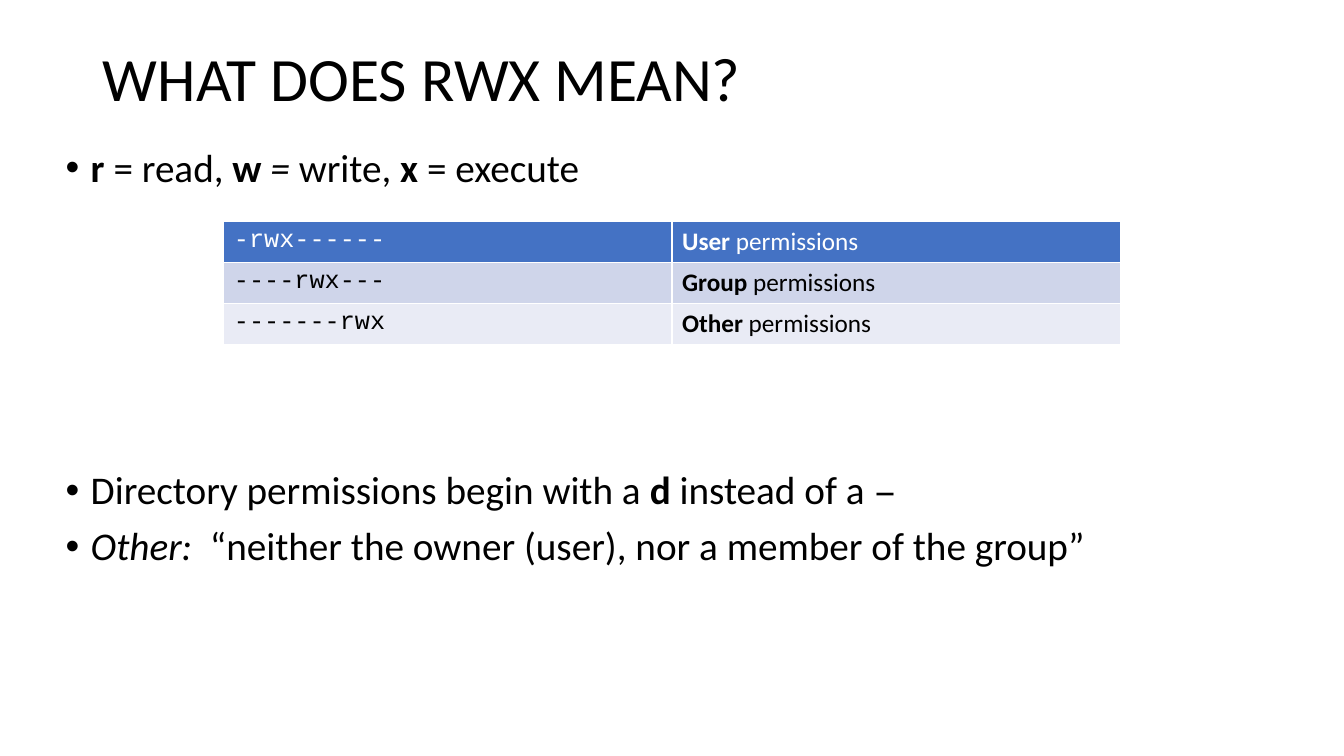
from lxml.etree import SubElement
from pptx import Presentation
from pptx.dml.color import RGBColor
from pptx.enum.text import MSO_ANCHOR, MSO_AUTO_SIZE, PP_ALIGN
from pptx.oxml.ns import qn
from pptx.util import Inches, Pt

COLORS = {"text": "000000", "white": "FFFFFF", "header": "4472C4",
          "band_dark": "CFD5EA", "band_light": "E9EBF5"}
SANS, MONO = "Calibri", "Courier New"

RWX_LIST = [
    [("r ", "b"), ("= read, ", ""), ("w ", "b"), ("= ", "i"),
     ("write, ", ""), ("x", "b"), (" = execute", "")],
]
NOTES_LIST = [
    [("Directory permissions begin with a ", ""), ("d", "b"),
     (" instead of a ", ""), ("–", "m")],
    [("Other:", "i"),
     ("  “neither the owner (user), nor a member of the group”", "")],
]
PERMISSIONS = [("-rwx------", "User", "header", "white"),
               ("----rwx---", "Group", "band_dark", "text"),
               ("-------rwx", "Other", "band_light", "text")]


def add_span(para, text, style, size, color="text"):
    span = para.add_run()
    span.text = text
    font = span.font
    font.name = MONO if "m" in style else SANS
    font.size = Pt(size)
    font.bold = "b" in style
    font.italic = "i" in style
    font.color.rgb = RGBColor.from_string(COLORS[color])


def place(shape, box):
    shape.left, shape.top, shape.width, shape.height = map(Inches, box)
    shape.text_frame.word_wrap = True
    shape.text_frame.auto_size = MSO_AUTO_SIZE.NONE


def fill_title(shape, box, text):
    place(shape, box)
    shape.text_frame.vertical_anchor = MSO_ANCHOR.MIDDLE
    para = shape.text_frame.paragraphs[0]
    para.alignment = PP_ALIGN.LEFT
    para.line_spacing = 0.9
    add_span(para, text, "", 44)


def fill_list(shape, box, items):
    place(shape, box)
    frame = shape.text_frame
    for index, item in enumerate(items):
        para = frame.add_paragraph() if index else frame.paragraphs[0]
        para.line_spacing = 0.9
        para.space_before = Pt(10)
        props = para._p.get_or_add_pPr()
        props.set("marL", str(Inches(0.25)))
        props.set("indent", str(Inches(-0.25)))
        SubElement(props, qn("a:buFont"), typeface="Arial")
        SubElement(props, qn("a:buChar"), char="•")
        for text, style in item:
            add_span(para, text, style, 28)


def add_borders(cell, bottom):
    props = cell._tc.get_or_add_tcPr()
    for side, width in (("L", 1), ("R", 1), ("T", 1), ("B", bottom)):
        line = SubElement(props, qn(f"a:ln{side}"), w=str(Pt(width)))
        paint = SubElement(line, qn("a:solidFill"))
        SubElement(paint, qn("a:srgbClr"), val=COLORS["white"])


def add_permissions_table(page, box):
    table = page.shapes.add_table(len(PERMISSIONS), 2, *map(Inches, box)).table
    for row, (mode, who, fill, color) in enumerate(PERMISSIONS):
        columns = ([(mode, "m")], [(who, "b"), (" permissions", "")])
        for column, spans in enumerate(columns):
            cell = table.cell(row, column)
            add_borders(cell, 1)
            cell.fill.solid()
            cell.fill.fore_color.rgb = RGBColor.from_string(COLORS[fill])
            for text, style in spans:
                add_span(cell.text_frame.paragraphs[0], text, style, 18, color)


def build_permissions_slide(deck):
    page = deck.slides.add_slide(deck.slide_layouts.get_by_name("Two Content"))
    title, rwx, notes = page.placeholders
    fill_title(title, (0.92, 0.4, 11.5, 0.81), "WHAT DOES RWX MEAN?")
    fill_list(rwx, (0.55, 1.42, 12.47, 0.57), RWX_LIST)
    fill_list(notes, (0.55, 4.62, 12.47, 2.17), NOTES_LIST)
    add_permissions_table(page, (2.22, 2.2, 8.89, 1.22))


def main():
    deck = Presentation()
    deck.slide_width, deck.slide_height = Inches(13.33), Inches(7.5)
    build_permissions_slide(deck)
    deck.save("out.pptx")


if __name__ == "__main__":
    main()
